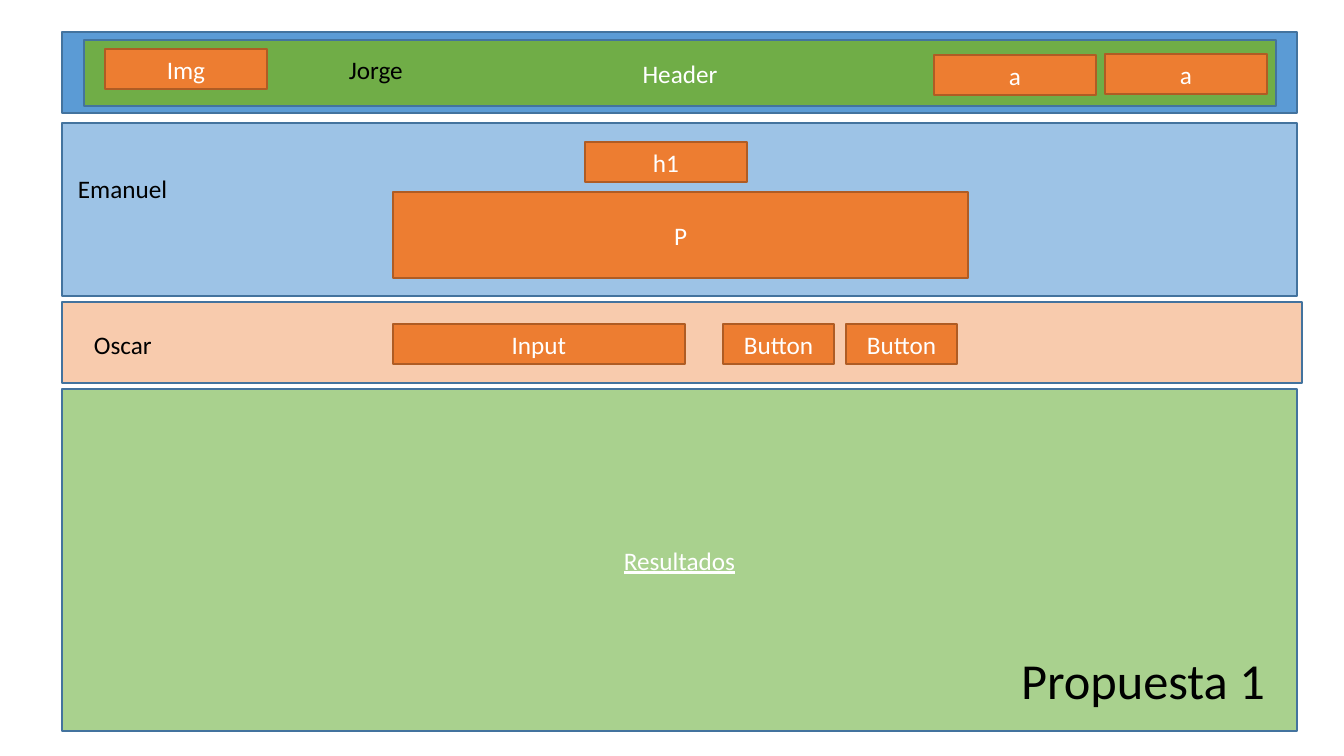
from pptx import Presentation
from pptx.dml.color import RGBColor
from pptx.enum.shapes import MSO_SHAPE
from pptx.enum.text import MSO_ANCHOR, MSO_AUTO_SIZE, PP_ALIGN
from pptx.util import Pt

RECT = MSO_SHAPE.RECTANGLE
MIDDLE = MSO_ANCHOR.MIDDLE
GROW = MSO_AUTO_SIZE.SHAPE_TO_FIT_TEXT
LEFT, CENTER = PP_ALIGN.LEFT, PP_ALIGN.CENTER
SCALE = 914400 / 100.8
EDGE, RIM = "43739E", "AF5C24"
ORANGE, WHITE, BLACK = "ED7D31", "FFFFFF", "000000"


def px(*vals):
    return [round(v * SCALE) for v in vals]


def color(code):
    return RGBColor.from_string(code)


deck = Presentation()
deck.slide_width, deck.slide_height = px(1344, 756)
slide = deck.slides.add_slide(deck.slide_layouts[6])

# Page sections, then the elements inside them
bands = [
    ("", 62, 32, 1235, 81, "5B9BD5"),
    ("Header", 84, 40, 1192, 66, "70AD47"),
    ("", 62, 123, 1235, 173, "9DC3E6"),
    ("Resultados", 62, 389, 1235, 342, "A9D18E"),
    ("", 62, 302, 1240, 81, "F8CBAD"),
]
parts = [
    ("Img", 105, 49, 162, 40),
    ("h1", 585, 142, 162, 40),
    ("P", 393, 192, 575, 86),
    ("Input", 393, 324, 292, 40),
    ("Button", 723, 324, 111, 40),
    ("Button", 846, 324, 111, 40),
    ("a", 934, 55, 162, 40),
    ("a", 1105, 54, 162, 40),
]
boxes = [(*band, EDGE) for band in bands]
boxes += [(*part, ORANGE, RIM) for part in parts]
texts = []
for words, x, y, w, h, fill, line in boxes:
    box = slide.shapes.add_shape(RECT, *px(x, y, w, h))
    box.shadow.inherit = False
    box.fill.solid()
    box.fill.fore_color.rgb = color(fill)
    box.line.color.rgb = color(line)
    box.line.width = Pt(1)
    if words:
        box.text_frame.vertical_anchor = MIDDLE
        texts.append((box, words, 18, WHITE, CENTER))

# Names of the owners and the title
labels = [
    ("Jorge", 339, 49, 75, 40, 18, LEFT),
    ("Emanuel", 68, 168, 111, 40, 18, LEFT),
    ("Oscar", 84, 324, 79, 40, 18, LEFT),
    ("Propuesta 1", 1010, 644, 266, 71, 36, CENTER),
]
for words, x, y, w, h, size, align in labels:
    label = slide.shapes.add_textbox(*px(x, y, w, h))
    label.text_frame.word_wrap = False
    label.text_frame.auto_size = GROW
    texts.append((label, words, size, BLACK, align))

# Wording and fonts
for shape, words, size, ink, align in texts:
    para = shape.text_frame.paragraphs[0]
    para.alignment = align
    run = para.add_run()
    run.text = words
    style = {"name": "Calibri", "size": Pt(size)}
    if words == "Resultados":
        style["underline"] = True
    for key, val in style.items():
        setattr(run.font, key, val)
    run.font.color.rgb = color(ink)

deck.save("out.pptx")
